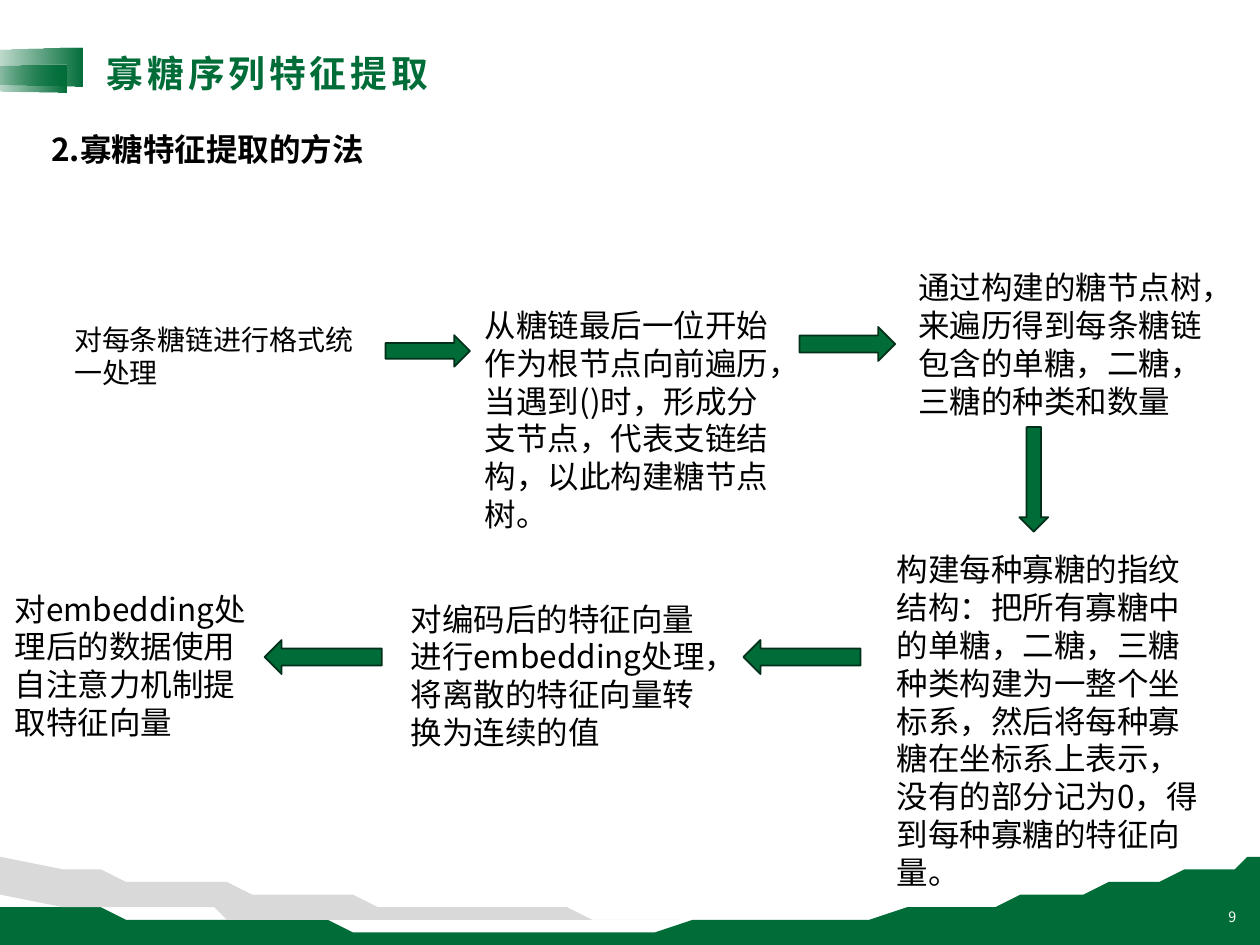
from lxml import etree
from pptx import Presentation
from pptx.dml.color import RGBColor
from pptx.enum.shapes import MSO_SHAPE
from pptx.enum.text import MSO_ANCHOR, MSO_AUTO_SIZE, PP_ALIGN
from pptx.oxml.ns import qn
from pptx.util import Inches, Pt

ARROW, TRAPEZOID = MSO_SHAPE.DOWN_ARROW, MSO_SHAPE.TRAPEZOID
LEFT, RIGHT = PP_ALIGN.LEFT, PP_ALIGN.RIGHT
TOP, MIDDLE = MSO_ANCHOR.TOP, MSO_ANCHOR.MIDDLE
GROW = MSO_AUTO_SIZE.SHAPE_TO_FIT_TEXT
WIDTH, HEIGHT, COLS, ROWS = 10, 7.5, 100, 75
FONT = "Noto Sans CJK SC"
COLORS = {"green": "006D39", "edge": "003019", "gray": "D9D9D9", "black": "000000", "white": "FFFFFF"}


def bezier(p0, p1, p2, p3, steps=24):
    """Return points along a cubic curve, without its start."""
    ts = [i / steps for i in range(1, steps + 1)]
    return [tuple((1 - t) ** 3 * a + 3 * (1 - t) ** 2 * t * b + 3 * (1 - t) * t * t * c + t ** 3 * d
                  for a, b, c, d in zip(p0, p1, p2, p3)) for t in ts]


def outline(start, *segments):
    """Return the points of an outline made of lines (1 point) and curves (3 points)."""
    points = [start]
    for seg in segments:
        points += bezier(points[-1], *seg) if len(seg) == 3 else seg
    return points


class Deck:
    """Draw styled elements on the current slide, placed in grid columns and rows."""

    def __init__(self):
        """Start a presentation with one blank slide."""
        self.prs = Presentation()
        self.prs.slide_width, self.prs.slide_height = Inches(WIDTH), Inches(HEIGHT)
        self.s = self.prs.slides.add_slide(self.prs.slide_layouts[6])

    def box(self, x, y, w, h):
        """Turn a grid box into slide lengths."""
        cw, rh = self.prs.slide_width / COLS, self.prs.slide_height / ROWS
        return round(x * cw), round(y * rh), round(w * cw), round(h * rh)

    def color(self, name):
        """Look up a colour."""
        return RGBColor.from_string(COLORS[name])

    def wave(self, points, color):
        """Draw a filled outline."""
        scale = (self.prs.slide_width / COLS, self.prs.slide_height / ROWS)
        fb = self.s.shapes.build_freeform(*points[0], scale=scale)
        fb.add_line_segments(points[1:], close=True)
        sp = fb.convert_to_shape()
        sp.shadow.inherit = False
        sp.fill.solid()
        sp.fill.fore_color.rgb = self.color(color)
        sp.line.fill.background()

    def shape(self, kind, at, rotation):
        """Add a rotated preset shape."""
        sp = self.s.shapes.add_shape(kind, *self.box(*at))
        sp.rotation = rotation
        sp.shadow.inherit = False
        return sp

    def ribbon(self, *at):
        """Draw a title ribbon that fades out to the left."""
        sp = self.shape(TRAPEZOID, at, 270)
        sp.adjustments[0] = 0.07
        sp.line.fill.background()
        sp.fill.gradient()
        sp.fill.gradient_angle = 270
        for stop, alpha in zip(sp.fill.gradient_stops, (0, 100000)):
            stop.color.rgb = self.color("green")
        for clr, alpha in zip(sp.element.spPr.iter(qn("a:srgbClr")), (0, 100000)):
            etree.SubElement(clr, qn("a:alpha")).set("val", str(alpha))

    def arrow(self, *at, rotation=0):
        """Draw a block arrow."""
        sp = self.shape(ARROW, at, rotation)
        sp.fill.solid()
        sp.fill.fore_color.rgb = self.color("green")
        sp.line.color.rgb = self.color("edge")
        sp.line.width = Pt(1)

    def text(self, text, *at, size=18, color="black", bold=False, spacing=0, align=LEFT, anchor=TOP, fit=GROW):
        """Write one paragraph of text."""
        tf = self.s.shapes.add_textbox(*self.box(*at)).text_frame
        tf.word_wrap, tf.vertical_anchor, tf.auto_size = True, anchor, fit
        p = tf.paragraphs[0]
        p.alignment = align
        r = p.add_run()
        r.text = text
        r.font.size, r.font.bold, r.font.name = Pt(size), bold, FONT
        r.font.color.rgb = self.color(color)
        rPr = r.font._element
        etree.SubElement(rPr, qn("a:ea")).set("typeface", FONT)
        if spacing:
            rPr.set("spc", str(round(spacing * 100)))


STEPS = [
    ("对每条糖链进行格式统一处理", (4.9, 25.1, 25.1, 6.4), 16),
    ("从糖链最后一位开始作为根节点向前遍历，当遇到()时，形成分支节点，代表支链结构，以此构建糖节点树。",
     (37.5, 23.8, 26.1, 16.1), 18),
    ("通过构建的糖节点树，来遍历得到每条糖链包含的单糖，二糖，三糖的种类和数量", (71.9, 20.8, 26.1, 13.1), 18),
    ("构建每种寡糖的指纹结构：把所有寡糖中的单糖，二糖，三糖种类构建为一整个坐标系，然后将每种寡糖在坐标系上表示，"
     "没有的部分记为0，得到每种寡糖的特征向量。", (70.2, 43.2, 26.1, 28.3), 18),
    ("对编码后的特征向量进行embedding处理，将离散的特征向量转换为连续的值", (31.6, 47.1, 26.1, 13.1), 18),
    ("对embedding处理后的数据使用自注意力机制提取特征向量", (0.2, 46.3, 20.6, 13.1), 18),
]
ARROWS = [
    ((32.7, 24.5, 2.5, 6.7), 270),
    ((65.9, 23.5, 2.7, 7.6), 270),
    ((80.9, 33.9, 2.3, 8.3), 0),
    ((62.3, 47.5, 2.7, 9.3), 90),
    ((24.3, 47.5, 2.7, 9.3), 90),
]
GREEN_WAVE = outline(
    (100, 68.1), [(100, 75)], [(0, 75)], [(0, 71.6)], [(5.8, 72.2)],
    [(15.9, 73.1), (27.6, 73.7), (39.9, 73.7)], [(64.7, 73.7), (86.5, 71.5), (99.3, 68.3)])
GRAY_WAVE = outline(
    (0, 68.1), [(5.3, 68.9)], [(17.2, 70.6), (31.2, 71.8), (46.7, 72.6)], [(53.6, 72.9)], [(51.3, 73)],
    [(48, 73), (44.6, 73), (41.1, 73)], [(27.1, 73), (14.4, 72.5), (5.2, 71.7)], [(0, 71.1)])


def main():
    """Build and save the slide."""
    deck = Deck()
    deck.wave(GREEN_WAVE, "green")
    deck.wave(GRAY_WAVE, "gray")
    deck.ribbon(0.6, 0.9, 3.1, 8.8)
    deck.ribbon(0.5, 2.6, 2.2, 7.3)
    deck.text("寡糖序列特征提取", 7.5, 3.5, 43.7, 4.5, size=21, color="green", bold=True, spacing=2.2)
    deck.text("2.寡糖特征提取的方法", 3.1, 9.8, 77.1, 4, bold=True)
    for text, at, size in STEPS:
        deck.text(text, *at, size=size)
    for at, rotation in ARROWS:
        deck.arrow(*at, rotation=rotation)
    deck.text("9", 76.6, 70.8, 22.5, 4, size=8.2, color="white", align=RIGHT, anchor=MIDDLE, fit=MSO_AUTO_SIZE.NONE)
    deck.prs.save("out.pptx")


if __name__ == "__main__":
    main()
